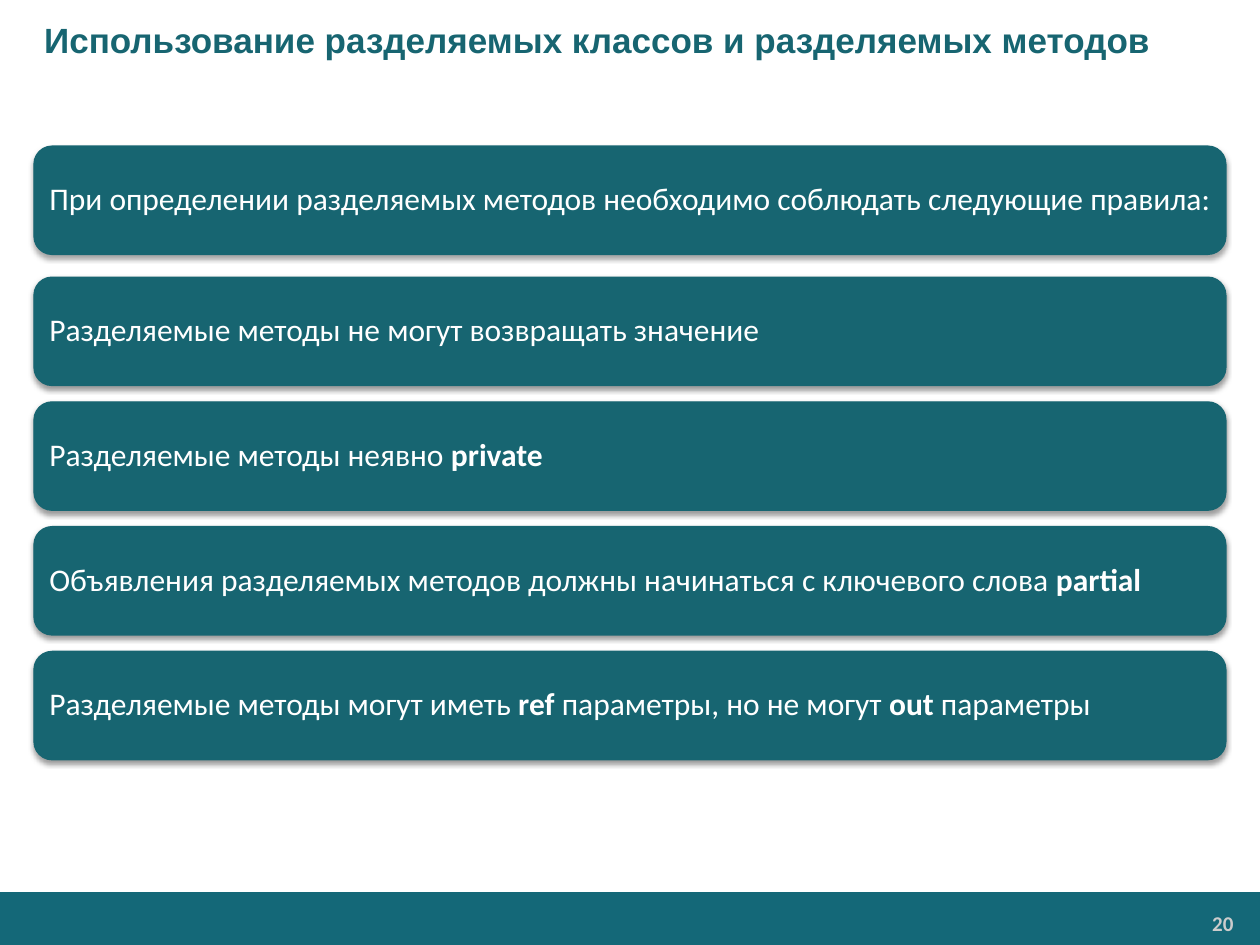
from lxml import etree
from pptx import Presentation
from pptx.dml.color import RGBColor
from pptx.enum.shapes import MSO_SHAPE
from pptx.enum.text import MSO_ANCHOR, PP_ALIGN
from pptx.oxml.ns import qn
from pptx.util import Inches, Pt

RECTANGLE, ROUNDED = MSO_SHAPE.RECTANGLE, MSO_SHAPE.ROUNDED_RECTANGLE
MIDDLE = MSO_ANCHOR.MIDDLE
LEFT, RIGHT, JUSTIFY = PP_ALIGN.LEFT, PP_ALIGN.RIGHT, PP_ALIGN.JUSTIFY
TEAL = RGBColor(0x17, 0x65, 0x71)
FOOTER_TEAL = RGBColor(0x14, 0x68, 0x78)
WHITE = RGBColor(0xFF, 0xFF, 0xFF)
GRAY = RGBColor(0xCC, 0xCC, 0xCC)

# Content: each rule is a list of (text, bold) spans
TITLE = "Использование разделяемых классов и разделяемых методов"
PAGE_NUMBER = "20"
HEADING = [("При определении разделяемых методов необходимо соблюдать следующие правила:", False)]
RULES = [
    [("Разделяемые методы не могут возвращать значение", False)],
    [("Разделяемые методы неявно ", False), ("private", True)],
    [("Объявления разделяемых методов должны начинаться с ключевого слова ", False),
     ("partial", True)],
    [("Разделяемые методы могут иметь ", False), ("ref", True),
     (" параметры, но не могут ", False), ("out", True), (" параметры", False)],
]

# Formats and layout, in points and inches
TITLE_FONT = {"name": "Arial", "size": Pt(20), "bold": True}
RULE_FONT = {"name": "Calibri", "size": Pt(18)}
NUMBER_FONT = {"name": "Calibri", "size": Pt(12), "bold": True}
BAR_LEFT, BAR_WIDTH, BAR_HEIGHT = 0.27, 9.46, 0.86
HEADING_TOP, RULES_TOP, RULE_STEP = 1.16, 2.2, 0.99


def set_margins(frame, left, top, right, bottom):
    margins = {"left": left, "top": top, "right": right, "bottom": bottom}
    for side, value in margins.items():
        setattr(frame, f"margin_{side}", Inches(value))


def add_span(para, text, color, font, bold=False):
    span = para.add_run()
    span.text = text
    for key, value in {"bold": bold, **font}.items():
        setattr(span.font, key, value)
    span.font.color.rgb = color


def add_block(page, kind, left, top, width, height, color):
    block = page.shapes.add_shape(kind, *map(Inches, (left, top, width, height)))
    block.fill.solid()
    block.fill.fore_color.rgb = color
    block.line.fill.background()
    block.shadow.inherit = False
    return block


def add_shadow(block, opacity, distance):
    effects = block.element.spPr.find(qn("a:effectLst"))
    shadow = etree.SubElement(effects, qn("a:outerShdw"), blurRad=str(Pt(3.1)),
                              dist=str(Pt(distance)), dir="5400000", rotWithShape="0")
    color = etree.SubElement(shadow, qn("a:srgbClr"), val="000000")
    etree.SubElement(color, qn("a:alpha"), val=str(opacity * 1000))


def add_bar(page, top, spans, opacity, distance):
    bar = add_block(page, ROUNDED, BAR_LEFT, top, BAR_WIDTH, BAR_HEIGHT, TEAL)
    bar.line.color.rgb = TEAL
    bar.line.width = Pt(0.75)
    add_shadow(bar, opacity, distance)
    frame = bar.text_frame
    frame.word_wrap = True
    frame.vertical_anchor = MIDDLE
    set_margins(frame, 0.08, 0.08, 0.05, 0.08)
    para = frame.paragraphs[0]
    para.alignment = JUSTIFY
    para.line_spacing = 0.9
    for text, bold in spans:
        add_span(para, text, WHITE, RULE_FONT, bold)


deck = Presentation()
deck.slide_width, deck.slide_height = Inches(10), Inches(7.5)
page = deck.slides.add_slide(deck.slide_layouts[5])

# Footer band and page number
add_block(page, RECTANGLE, 0, 7.08, 10, 0.42, FOOTER_TEAL)
number = page.shapes.add_textbox(*map(Inches, (8.23, 7.19, 1.63, 0.28)))
number.text_frame.word_wrap = True
set_margins(number.text_frame, 0.07, 0.04, 0.07, 0.04)
number_para = number.text_frame.paragraphs[0]
number_para.alignment = RIGHT
add_span(number_para, PAGE_NUMBER, GRAY, NUMBER_FONT)

# Title
title = page.shapes.title
title.left, title.top, title.width, title.height = map(Inches, (0, 0, 10, 0.63))
title.text_frame.vertical_anchor = MIDDLE
set_margins(title.text_frame, 0.35, 0.05, 0.1, 0.05)
title_para = title.text_frame.paragraphs[0]
title_para.alignment = LEFT
add_span(title_para, TITLE, TEAL, TITLE_FONT)

# Heading bar and evenly spaced rules
add_bar(page, HEADING_TOP, HEADING, 35, 1.8)
for index, rule in enumerate(RULES):
    add_bar(page, RULES_TOP + index * RULE_STEP, rule, 38, 1.6)

deck.save("out.pptx")
